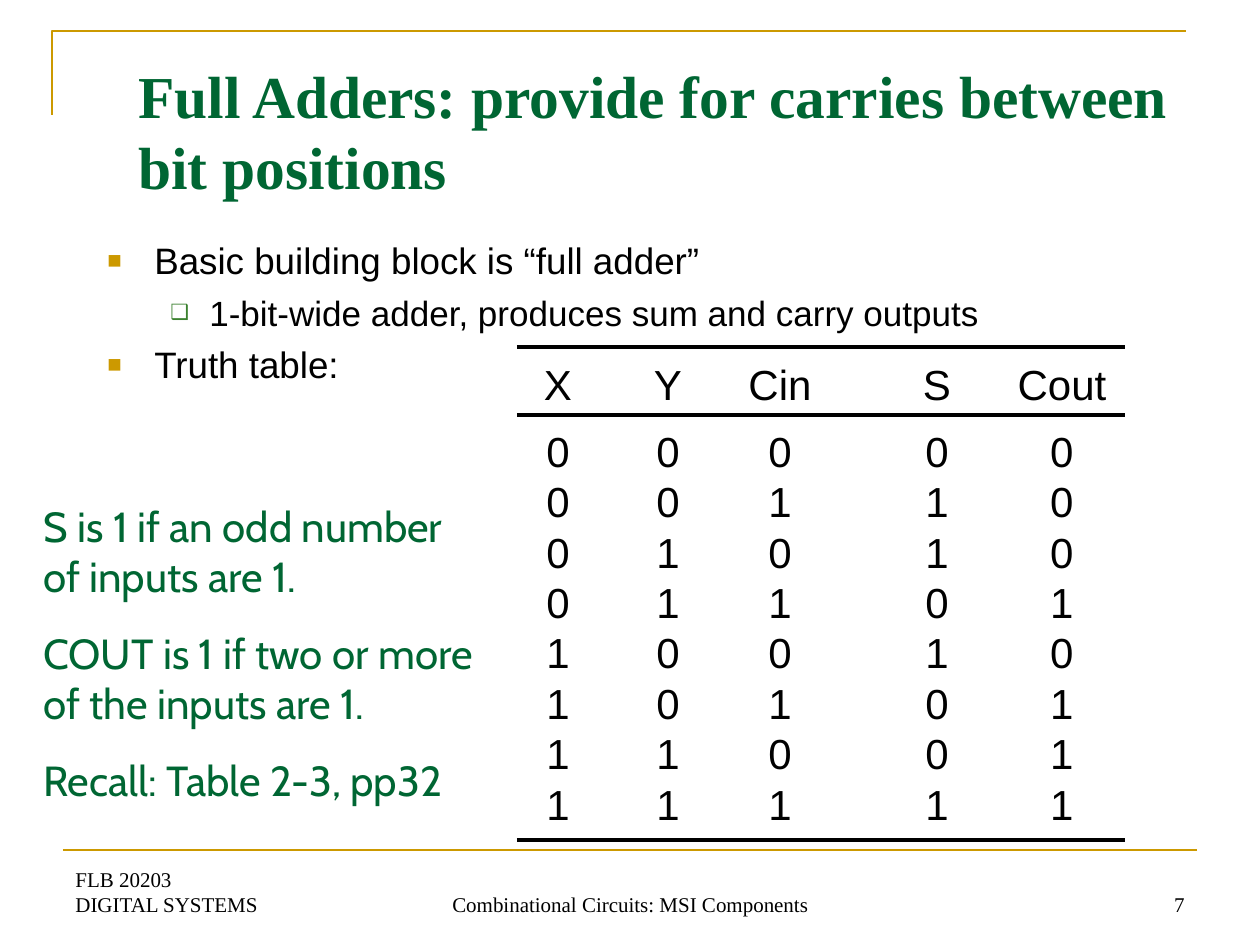
"""Build the full adder slide with its truth table."""
from lxml import etree
from pptx import Presentation
from pptx.dml.color import RGBColor
from pptx.enum.shapes import MSO_CONNECTOR
from pptx.enum.text import MSO_ANCHOR, PP_ALIGN
from pptx.oxml.ns import qn
from pptx.util import Emu, Pt

PX = 914400 // 126
TOP, MID, BOT = MSO_ANCHOR.TOP, MSO_ANCHOR.MIDDLE, MSO_ANCHOR.BOTTOM
LEFT, CENTER, RIGHT = PP_ALIGN.LEFT, PP_ALIGN.CENTER, PP_ALIGN.RIGHT
STRAIGHT = MSO_CONNECTOR.STRAIGHT

HUES = {"gold": "CC9900", "green": "006633", "leaf": "3B812F", "ink": "000000"}
SERIF, SANS, NOTE = "Times New Roman", "Arial", "Cabin"

TITLE = "Full Adders: provide for carries between bit positions"
POINTS = [
    (0, "Basic building block is “full adder”"),
    (1, "1-bit-wide adder, produces sum and carry outputs"),
    (0, "Truth table:"),
]
LEVELS = [
    {"size": 21, "gap": 5.2, "mark": "■", "hue": "gold", "pct": 65, "left": 47, "hang": 47},
    {"size": 20, "gap": 5, "mark": "❑", "hue": "leaf", "pct": 60, "left": 102, "hang": 39},
]
NOTES = [
    "S is 1 if an odd number of inputs are 1.",
    "COUT is 1 if two or more of the inputs are 1.",
    "Recall: Table 2-3, pp32",
]
FOOTERS = [
    (63, 294, LEFT, "FLB 20203\vDIGITAL SYSTEMS"),
    (431, 399, CENTER, "Combinational Circuits: MSI Components"),
    (903, 294, RIGHT, "7"),
]
HEADS = ["X", "Y", "Cin", "S", "Cout"]
BITS = ["00000", "00110", "01010", "01101", "10010", "10101", "11001", "11111"]
EDGES = [517, 613, 724, 858, 1000, 1125]
MIDS = [558, 668, 780, 937, 1062]
ROWS = [52, 67] + [50] * 7
RULES = [347, 415, 840]


def px(n):
    return Emu(round(n * PX))


def rgb(hue):
    return RGBColor.from_string(HUES[hue])


def style(para, face, size, hue, bold=False):
    for run in para.runs:
        font = run.font
        font.name, font.size, font.bold = face, Pt(size), bold
        font.color.rgb = rgb(hue)


def add_box(slide, area, texts, anchor=TOP):
    frame = slide.shapes.add_textbox(*map(px, area)).text_frame
    frame.word_wrap = True
    frame.vertical_anchor = anchor
    for i, text in enumerate(texts):
        para = frame.add_paragraph() if i else frame.paragraphs[0]
        para.text = text
    return frame.paragraphs


def add_mark(para, level):
    props = para._p.get_or_add_pPr()
    props.set("marL", str(px(level["left"])))
    props.set("indent", str(-px(level["hang"])))
    hue = etree.SubElement(props, qn("a:buClr"))
    etree.SubElement(hue, qn("a:srgbClr"), val=HUES[level["hue"]])
    etree.SubElement(props, qn("a:buSzPct"), val=str(level["pct"] * 1000))
    etree.SubElement(props, qn("a:buFont"), typeface=SANS)
    etree.SubElement(props, qn("a:buChar"), char=level["mark"])


def paint(shape, hue, width):
    shape.line.color.rgb = rgb(hue)
    shape.line.width = Pt(width)


def add_rule(slide, start, end, y, hue, width):
    rule = slide.shapes.add_connector(STRAIGHT, px(start), px(y), px(end), px(y))
    paint(rule, hue, width)
    etree.SubElement(rule._element.spPr, qn("a:effectLst"))


def add_frame(slide):
    path = slide.shapes.build_freeform(52, 115, scale=PX)
    path.add_line_segments([(52, 31), (1186, 31)], close=False)
    bend = path.convert_to_shape()
    bend.shadow.inherit = False
    bend.fill.background()
    paint(bend, "gold", 1.5)
    add_rule(slide, 63, 1197, 850, "gold", 1.5)


def add_truth(slide):
    data = [HEADS] + [list(row) for row in BITS]
    area = (EDGES[0], 357, EDGES[-1] - EDGES[0], sum(ROWS))
    table = slide.shapes.add_table(len(data), len(HEADS), *map(px, area)).table
    table.first_row = table.horz_banding = False
    for c, (start, end) in enumerate(zip(EDGES, EDGES[1:])):
        table.columns[c].width = px(end - start)
    for r, row in enumerate(data):
        table.rows[r].height = px(ROWS[r])
        for c, text in enumerate(row):
            cell = table.cell(r, c)
            shift = 2 * MIDS[c] - EDGES[c] - EDGES[c + 1]
            cell.margin_left, cell.margin_right = px(max(shift, 0)), px(max(-shift, 0))
            cell.margin_top = cell.margin_bottom = 0
            cell.vertical_anchor = BOT
            cell.fill.background()
            cell.text = text
            para = cell.text_frame.paragraphs[0]
            para.alignment = CENTER
            style(para, SANS, 24, "ink")
    for y in RULES:
        add_rule(slide, EDGES[0], EDGES[-1], y, "ink", 2)


def main():
    deck = Presentation()
    deck.slide_width, deck.slide_height = px(1260), px(945)
    slide = deck.slides.add_slide(deck.slide_layouts[6])
    add_frame(slide)

    for left, width, align, text in FOOTERS:
        para = add_box(slide, (left, 860, width, 63), [text], BOT)[0]
        para.alignment = align
        style(para, SERIF, 12, "ink")

    title = add_box(slide, (126, 52, 1074, 157), [TITLE], MID)[0]
    style(title, SERIF, 34, "green", True)

    paras = add_box(slide, (95, 232, 1071, 567), [text for _, text in POINTS])
    for i, (para, (depth, _)) in enumerate(zip(paras, POINTS)):
        level = LEVELS[depth]
        para.level = depth
        add_mark(para, level)
        if i:
            para.space_before = Pt(level["gap"])
        style(para, SANS, level["size"], "ink")

    add_truth(slide)

    for i, para in enumerate(add_box(slide, (31, 494, 463, 330), NOTES)):
        if i:
            para.space_before = Pt(15)
        style(para, NOTE, 24, "green")

    deck.save("out.pptx")


if __name__ == "__main__":
    main()
